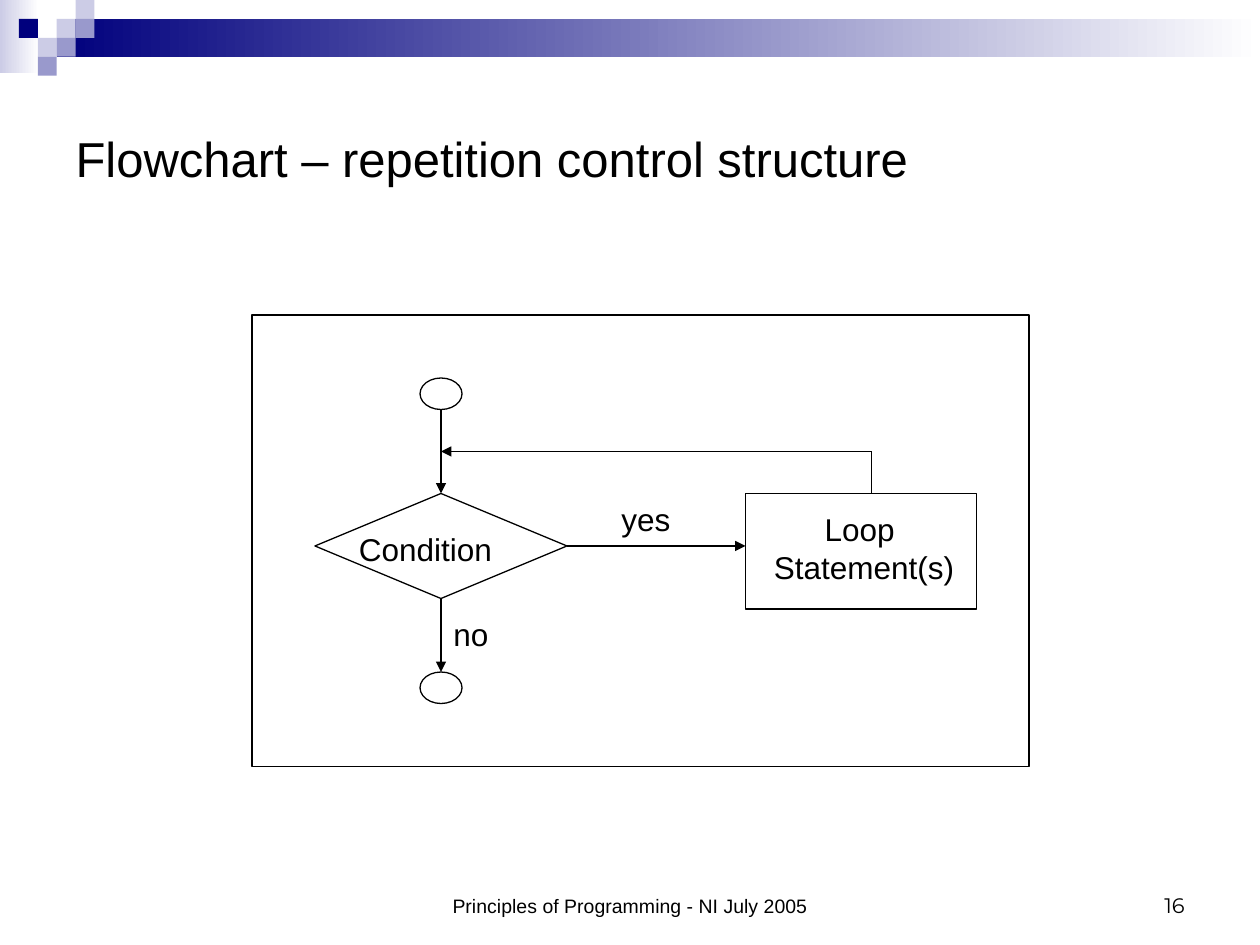
import dataclasses

import lxml.etree
import pptx
import pptx.dml.color
import pptx.enum.shapes
import pptx.enum.text
import pptx.oxml.ns
import pptx.util

SCALE = 7620  # EMU in one px, 120 px to the inch
TILE = 18
KIND = pptx.enum.shapes.MSO_SHAPE
ALIGN = pptx.enum.text.PP_ALIGN
ANCHOR = pptx.enum.text.MSO_ANCHOR


@dataclasses.dataclass(frozen=True)
class Theme:
    ink: str = "000000"
    navy: str = "00007D"
    mid: str = "9999CC"
    pale: str = "CCCCE6"
    white: str = "FFFFFF"
    font: str = "Arial"
    digit: str = "Montserrat"
    title: float = 28
    body: float = 18
    page: float = 12
    foot: float = 11.1
    line: float = 0.75


THEME = Theme()


def px(*nums):
    return [pptx.util.Emu(num * SCALE) for num in nums]


def rgb(code):
    return pptx.dml.color.RGBColor.from_string(code)


def write(frame, text, size=THEME.body, font=THEME.font, align=ALIGN.LEFT,
          anchor=ANCHOR.TOP):
    frame.word_wrap = True
    frame.vertical_anchor = anchor
    frame.text = text
    for para in frame.paragraphs:
        para.alignment = align
        para.font.size = pptx.util.Pt(size)
        para.font.name = font
        para.font.color.rgb = rgb(THEME.ink)


def label(slide, text, box, **style):
    write(slide.shapes.add_textbox(*px(*box)).text_frame, text, **style)


def block(slide, box, *fill):
    """Add a borderless rectangle: one colour is solid, two make a gradient."""
    shape = slide.shapes.add_shape(KIND.RECTANGLE, *px(*box))
    shape.shadow.inherit = False
    shape.line.fill.background()
    if len(fill) == 1:
        shape.fill.solid()
        shape.fill.fore_color.rgb = rgb(fill[0])
    else:
        shape.fill.gradient()
        shape.fill.gradient_angle = 0
        for stop, code in zip(shape.fill.gradient_stops, fill):
            stop.color.rgb = rgb(code)


def node(slide, kind, box):
    """Add an unfilled flowchart outline."""
    shape = slide.shapes.add_shape(kind, *px(*box))
    shape.shadow.inherit = False
    shape.fill.background()
    shape.line.color.rgb = rgb(THEME.ink)
    shape.line.width = pptx.util.Pt(THEME.line)
    return shape


def link(slide, start, end, head=True, begin=None, finish=None):
    """Draw a line; begin and finish are (shape, site) pairs to join."""
    wire = slide.shapes.add_connector(
        pptx.enum.shapes.MSO_CONNECTOR.STRAIGHT, *px(*start, *end))
    if begin:
        wire.begin_connect(*begin)
    if finish:
        wire.end_connect(*finish)
    wire.line.color.rgb = rgb(THEME.ink)
    wire.line.width = pptx.util.Pt(THEME.line)
    name = pptx.oxml.ns.qn
    if head:
        lxml.etree.SubElement(wire.line._get_or_add_ln(), name("a:tailEnd"),
                              type="triangle")
    lxml.etree.SubElement(wire._element.spPr, name("a:effectLst"))


def banner(slide):
    block(slide, (0, 0, 37, 70), THEME.pale, THEME.white)
    block(slide, (54, 18, 1146, 36), THEME.navy, THEME.white)
    tiles = [(3, 1, THEME.pale), (4, 0, THEME.pale), (4, 1, THEME.mid),
             (2, 2, THEME.pale), (1, 1, THEME.navy), (3, 2, THEME.mid),
             (2, 3, THEME.mid)]
    for col, row, code in tiles:
        block(slide, (col * TILE, row * TILE, TILE, TILE), code)


def chart(slide):
    axis, mid, back = 420, 520, 430
    node(slide, KIND.RECTANGLE, (240, 300, 740, 430))
    test = node(slide, KIND.FLOWCHART_DECISION, (300, 470, 240, 100))
    node(slide, KIND.FLOWCHART_PROCESS, (710, 470, 220, 110))
    node(slide, KIND.OVAL, (400, 360, 40, 30))
    stop = node(slide, KIND.OVAL, (400, 640, 40, 30))

    link(slide, (axis, 390), (axis, 470), finish=(test, 0))
    link(slide, (540, mid), (710, mid), begin=(test, 3))
    link(slide, (830, 470), (830, back), head=False)
    link(slide, (830, back), (axis, back))
    link(slide, (axis, 570), (axis, 640), begin=(test, 2), finish=(stop, 0))

    label(slide, "Condition", (330, 499, 170, 48))
    label(slide, "Loop \nStatement(s)", (710, 480, 226, 84),
          align=ALIGN.CENTER)
    label(slide, "yes", (580, 470, 90, 48))
    label(slide, "no", (420, 580, 90, 48))


def main():
    deck = pptx.Presentation()
    deck.slide_width, deck.slide_height = px(1200, 900)
    slide = deck.slides.add_slide(deck.slide_layouts[5])
    banner(slide)
    title = slide.shapes.title
    title.left, title.top, title.width, title.height = px(60, 60, 1080, 180)
    write(title.text_frame, "Flowchart – repetition control structure",
          size=THEME.title, anchor=ANCHOR.MIDDLE)
    chart(slide)
    label(slide, "Principles of Programming - NI July 2005",
          (410, 820, 380, 60), size=THEME.foot, align=ALIGN.CENTER,
          anchor=ANCHOR.BOTTOM)
    label(slide, "16", (860, 820, 280, 60), size=THEME.page,
          font=THEME.digit, align=ALIGN.RIGHT, anchor=ANCHOR.BOTTOM)
    deck.save("out.pptx")


if __name__ == "__main__":
    main()
